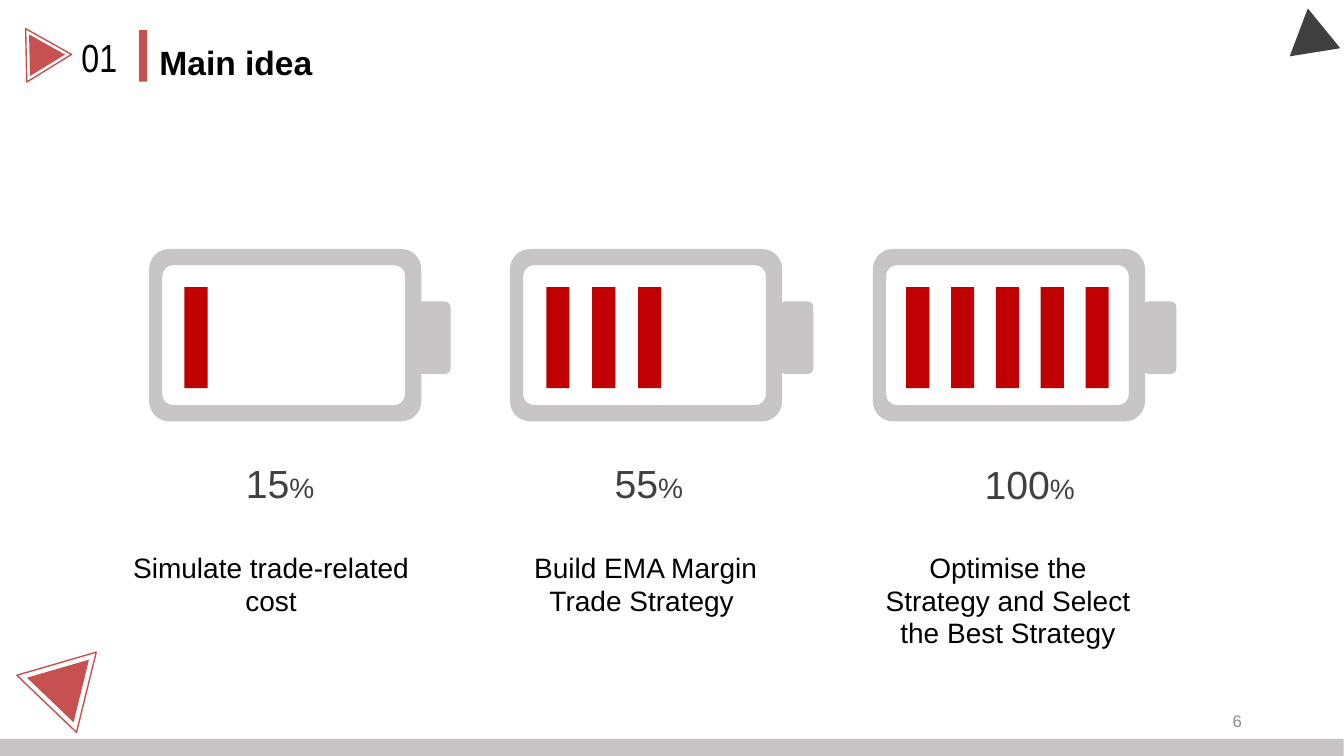
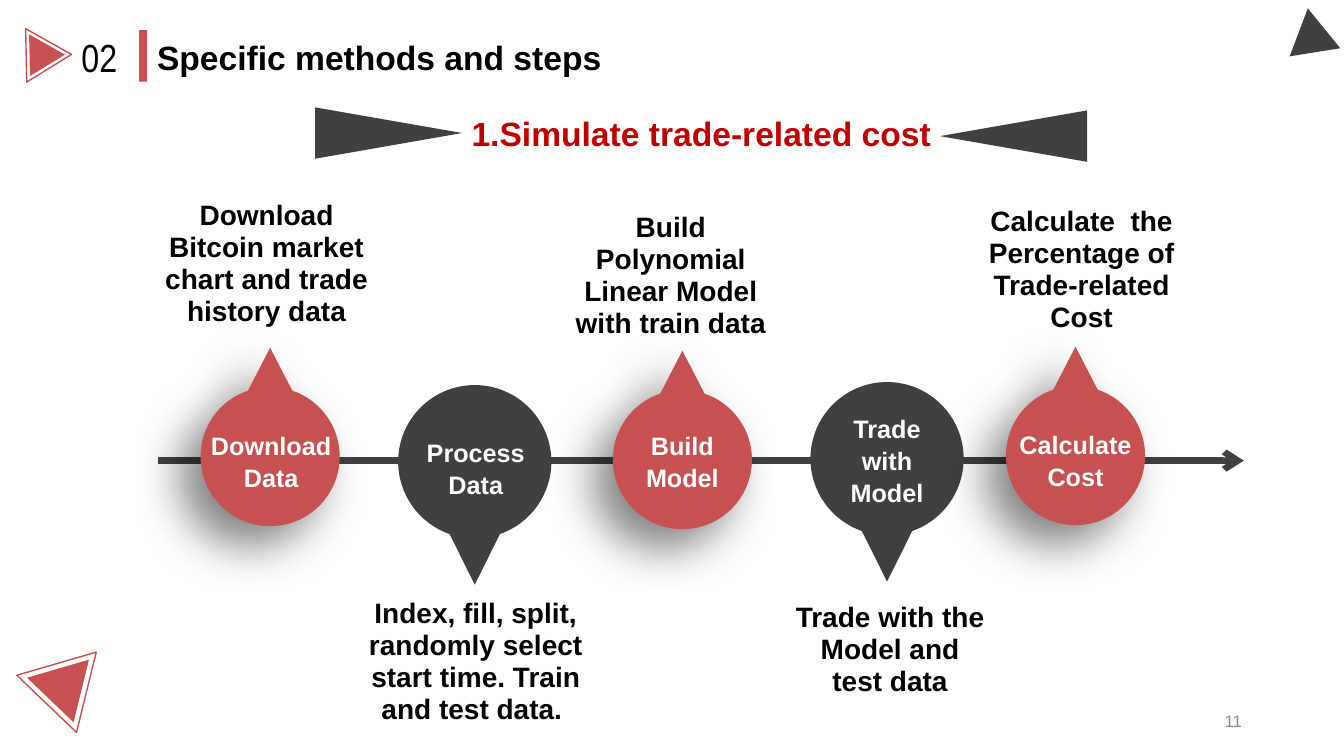
from math import asin, cos, pi, radians, sin, tan

from lxml.etree import SubElement
from pptx import Presentation
from pptx.dml.color import RGBColor
from pptx.enum.shapes import MSO_CONNECTOR as Connector, MSO_SHAPE as Shape
from pptx.enum.text import MSO_ANCHOR as Anchor, PP_ALIGN as Align
from pptx.oxml.ns import qn
from pptx.util import Inches, Pt

COLORS = {
    "red": "C75050",
    "deep_red": "C00000",
    "dark": "404040",
    "gray": "C7C5C5",
    "muted": "8C8C8C",
    "black": "000000",
    "white": "FFFFFF",
}
FONT = "Arial"
NUMBER_FONT = "Arial Narrow"
BODY_SPACING = Pt(23)

BATTERIES = [
    {"left": 1.48, "cap": 2.66, "bars": 1, "first_bar": 1.83, "last_bar": 1.83,
     "value": "15", "value_box": (2.34, 4.51, 0.97, 0.57),
     "caption": "Simulate trade-related cost", "caption_box": (1.21, 5.43, 2.96, 0.75)},
    {"left": 5.06, "cap": 2.68, "bars": 3, "first_bar": 5.42, "last_bar": 6.33,
     "value": "55", "value_box": (6, 4.51, 0.97, 0.57),
     "caption": "Build EMA Margin Trade Strategy ", "caption_box": (4.96, 5.43, 2.89, 0.75)},
    {"left": 8.66, "cap": 2.68, "bars": 5, "first_bar": 8.99, "last_bar": 10.77,
     "value": "100", "value_box": (9.67, 4.52, 1.35, 0.57),
     "caption": "Optimise the Strategy and Select the Best Strategy",
     "caption_box": (8.66, 5.43, 2.68, 1.39)},
]

STEPS = [
    {"center": (2.68, 4.53), "up": True,
     "label": "Download Data", "label_box": (1.95, 4.2, 1.48, 0.75),
     "caption": "Download Bitcoin market chart and trade history data",
     "caption_box": (1.46, 1.92, 2.37, 1.39)},
    {"center": (4.71, 4.58), "up": False,
     "label": "Process Data", "label_box": (4.03, 4.27, 1.38, 0.75),
     "caption": "Index, fill, split, randomly select start time. Train and test data. ",
     "caption_box": (3.43, 5.87, 2.58, 1.39)},
    {"center": (6.77, 4.56), "up": True,
     "label": "Build Model", "label_box": (6.08, 4.2, 1.38, 0.75),
     "caption": "Build Polynomial Linear Model with train data",
     "caption_box": (5.47, 2.04, 2.37, 1.39)},
    {"center": (8.8, 4.55), "up": False,
     "label": "Trade with Model", "label_box": (8.11, 4.03, 1.38, 1.07),
     "caption": "Trade with the Model and test data",
     "caption_box": (7.79, 5.91, 2.08, 1.07)},
    {"center": (10.67, 4.52), "up": True,
     "label": "Calculate Cost", "label_box": (9.98, 4.19, 1.38, 0.75),
     "caption": "Calculate  the Percentage of Trade-related Cost",
     "caption_box": (9.69, 1.98, 2.08, 1.39)},
]


def rgb(name):
    """Return the palette colour with the given name."""
    return RGBColor.from_string(COLORS[name])


def paint(shape, fill=None, line=None):
    """Set fill and outline of a shape and drop its shadow."""
    shape.shadow.inherit = False
    if fill:
        shape.fill.solid()
        shape.fill.fore_color.rgb = rgb(fill)
    else:
        shape.fill.background()
    if line:
        shape.line.color.rgb = rgb(line)
        shape.line.width = Pt(1)
    else:
        shape.line.fill.background()


def add_box(slide, kind, box, fill=None, line=None, rotation=0):
    """Add a painted preset shape."""
    shape = slide.shapes.add_shape(kind, *map(Inches, box))
    shape.rotation = rotation
    paint(shape, fill, line)
    return shape


def arc(center, radius, start, end, direction=-1):
    """Return a cubic segment along a circle, with angles counted from its top or bottom."""
    x, y = center
    pull = 4 / 3 * tan((end - start) / 4)

    def place(angle, lead):
        """Return the point at an angle, moved along the tangent."""
        return (x + radius * (sin(angle) + lead * cos(angle)),
                y + direction * radius * (cos(angle) - lead * sin(angle)))

    return [place(start, pull), place(end, -pull), place(end, 0)]


def add_outline(slide, contours, fill):
    """Add a freeform from contours of one-point lines and three-point curves."""
    builder = None
    for contour in contours:
        start, *ends = [tuple(map(Inches, segment[-1])) for segment in contour]
        if builder is None:
            builder = slide.shapes.build_freeform(*start)
        else:
            builder.move_to(*start)
        builder.add_line_segments(ends, close=True)
    shape = builder.convert_to_shape()
    segments = [segment for contour in contours for segment in contour[1:]]
    for line, segment in zip(list(shape._element.iter(qn("a:lnTo"))), segments):
        if len(segment) == 3:
            line.tag = qn("a:cubicBezTo")
            for index, (x, y) in enumerate(segment[:2]):
                line.insert(index, line.makeelement(qn("a:pt"), {
                    "x": str(Inches(x) - shape.left), "y": str(Inches(y) - shape.top)}))
    paint(shape, fill)
    return shape


def rounded_contour(left, top, width, height, radius):
    """Return the contour of a rounded rectangle."""
    west, east = left + radius, left + width - radius
    north, south = top + radius, top + height - radius
    contour = [[(west, top)]]
    for turn, center in enumerate([(east, north), (east, south), (west, south), (west, north)]):
        curve = arc(center, radius, turn * pi / 2, (turn + 1) * pi / 2)
        corner = arc(center, radius, turn * pi / 2, turn * pi / 2)[-1]
        contour += [[corner], curve]
    return contour


def pin_contour(center, radius, reach, base, direction):
    """Return the contour of a disc with a pointed tip."""
    x, y = center
    half = asin(base / radius)
    stops = [half, pi / 2, pi, 3 * pi / 2, 2 * pi - half]
    contour = [[(x, y + direction * reach)], arc(center, radius, half, half, direction)[-1:]]
    return contour + [arc(center, radius, start, end, direction)
                      for start, end in zip(stops, stops[1:])]


def add_text(slide, box, runs, color="black", bold=False, align=Align.LEFT,
             anchor=Anchor.TOP, spacing=None, font=FONT):
    """Add a one-paragraph text box from (text, size) runs."""
    frame = slide.shapes.add_textbox(*map(Inches, box)).text_frame
    frame.word_wrap = True
    frame.vertical_anchor = anchor
    paragraph = frame.paragraphs[0]
    paragraph.alignment = align
    paragraph.line_spacing = spacing
    for text, size in runs:
        run = paragraph.add_run()
        run.text = text
        run.font.name = font
        run.font.size = Pt(size)
        run.font.bold = bold
        run.font.color.rgb = rgb(color)


def add_triangle_mark(slide, box, rotation):
    """Draw an outlined triangle around a solid one with the same centroid."""
    left, top, width, height = box
    add_box(slide, Shape.ISOSCELES_TRIANGLE, box, line="red", rotation=rotation)
    scale = 0.78
    shift = height * (1 - scale) / 6
    angle = radians(rotation)
    inner_left = left + width * (1 - scale) / 2 - shift * sin(angle)
    inner_top = top + height * (1 - scale) / 2 + shift * cos(angle)
    add_box(slide, Shape.ISOSCELES_TRIANGLE,
            (inner_left, inner_top, width * scale, height * scale), "red", rotation=rotation)


def add_frame(slide, number, title, title_box, page, **title_style):
    """Add the heading, corner triangles and page number."""
    add_box(slide, Shape.RECTANGLE, (1.38, 0.3, 0.08, 0.51), "red")
    add_text(slide, (0.71, 0.28, 0.75, 0.57), [(number, 28)], font=NUMBER_FONT)
    add_triangle_mark(slide, (0.22, 0.32, 0.53, 0.45), 88.8)
    add_text(slide, title_box, [(title, 24)], bold=True, **title_style)
    add_triangle_mark(slide, (0.25, 6.57, 0.82, 0.71), 163.8)
    add_box(slide, Shape.ISOSCELES_TRIANGLE, (12.71, 0.2, 0.51, 0.44), "dark", rotation=230.8)
    add_text(slide, (9.42, 6.95, 3, 0.4), [(page, 12)], "muted",
             align=Align.RIGHT, anchor=Anchor.MIDDLE)


def add_battery(slide, top, battery):
    """Draw a battery with its charge bars, value and caption."""
    left, first, last = battery["left"], battery["first_bar"], battery["last_bar"]
    add_outline(slide, [rounded_contour(left + 0.13, top + 0.16, 2.41, 1.39, 0.11),
                        rounded_contour(left, top, 2.7, 1.71, 0.2)], "gray")
    add_box(slide, Shape.ROUNDED_RECTANGLE,
            (left + battery["cap"], top + 0.52, 0.33, 0.72), "gray")
    pitch = (last - first) / max(battery["bars"] - 1, 1)
    for index in range(battery["bars"]):
        add_box(slide, Shape.RECTANGLE, (first + pitch * index, top + 0.38, 0.23, 1), "deep_red")
    add_text(slide, battery["value_box"], [(battery["value"], 28), ("%", 20)], "dark")
    add_text(slide, battery["caption_box"], [(battery["caption"], 20)],
             align=Align.CENTER, spacing=BODY_SPACING)


def add_soft_shadow(shape):
    """Give a shape a blurred shadow to its lower left."""
    effects = shape._element.spPr.find(qn("a:effectLst"))
    shadow = SubElement(effects, qn("a:outerShdw"), blurRad=str(Pt(35)),
                        dist=str(Pt(20)), dir="8100000", algn="tr", rotWithShape="0")
    color = SubElement(shadow, qn("a:srgbClr"), val=COLORS["black"])
    SubElement(color, qn("a:alpha"), val="50000")


def add_timeline(slide, start, end, y):
    """Draw the arrow that runs behind the pins."""
    arrow = slide.shapes.add_connector(
        Connector.STRAIGHT, Inches(start), Inches(y), Inches(end), Inches(y))
    arrow.line.color.rgb = rgb("dark")
    arrow.line.width = Pt(4.5)
    SubElement(arrow.line._get_or_add_ln(), qn("a:tailEnd"), type="arrow")
    SubElement(arrow._element.spPr, qn("a:effectLst"))


def add_step(slide, step):
    """Add a pin with its label and caption."""
    center = step["center"]
    if step["up"]:
        add_soft_shadow(add_outline(slide, [pin_contour(center, 0.69, 1.08, 0.22, -1)], "red"))
    else:
        rim = [pin_contour(center, 0.69, 0.69, 0.22, 1), pin_contour(center, 0.76, 1.22, 0.25, 1)]
        add_outline(slide, rim, "dark")
        add_outline(slide, [pin_contour(center, 0.73, 1.14, 0.22, 1)], "dark")
    add_text(slide, step["label_box"], [(step["label"], 18)], "white", True,
             Align.CENTER, spacing=BODY_SPACING)
    add_text(slide, step["caption_box"], [(step["caption"], 20)], bold=True,
             align=Align.CENTER, spacing=BODY_SPACING)


def add_banner(slide, left, top, text):
    """Add a subtitle between two wedges that point at it."""
    add_text(slide, (left + 1.45, top + 0.25, 5.92, 0.71), [(text, 24)], "deep_red",
             True, anchor=Anchor.MIDDLE, spacing=1.5)
    for offset, drop, rotation in [(6.67, 0.01, 270), (0.47, -0.02, 90)]:
        add_box(slide, Shape.ISOSCELES_TRIANGLE,
                (left + offset, top + drop, 0.51, 1.46), "dark", rotation=rotation)


def build_idea_slide(slide):
    """Build the slide with the three batteries."""
    for battery in BATTERIES:
        add_battery(slide, 2.47, battery)
    add_box(slide, Shape.RECTANGLE, (0, 7.33, 13.33, 0.17), "gray")
    add_frame(slide, "01", "Main idea", (1.08, 0.17, 2.52, 0.63), "6",
              align=Align.CENTER, spacing=1.5)


def build_steps_slide(slide):
    """Build the slide with the pins along a timeline."""
    add_timeline(slide, 1.57, 12.34, 4.57)
    for step in STEPS:
        add_step(slide, step)
    add_frame(slide, "02", "Specific methods and steps", (1.46, 0.32, 6.95, 0.5), "11")
    add_banner(slide, 3.13, 0.61, "1.Simulate trade-related cost")


def main():
    """Build and save the presentation."""
    presentation = Presentation()
    presentation.slide_width = Inches(40 / 3)
    presentation.slide_height = Inches(7.5)
    blank = presentation.slide_layouts[6]
    for build in (build_idea_slide, build_steps_slide):
        build(presentation.slides.add_slide(blank))
    presentation.save("out.pptx")


if __name__ == "__main__":
    main()
